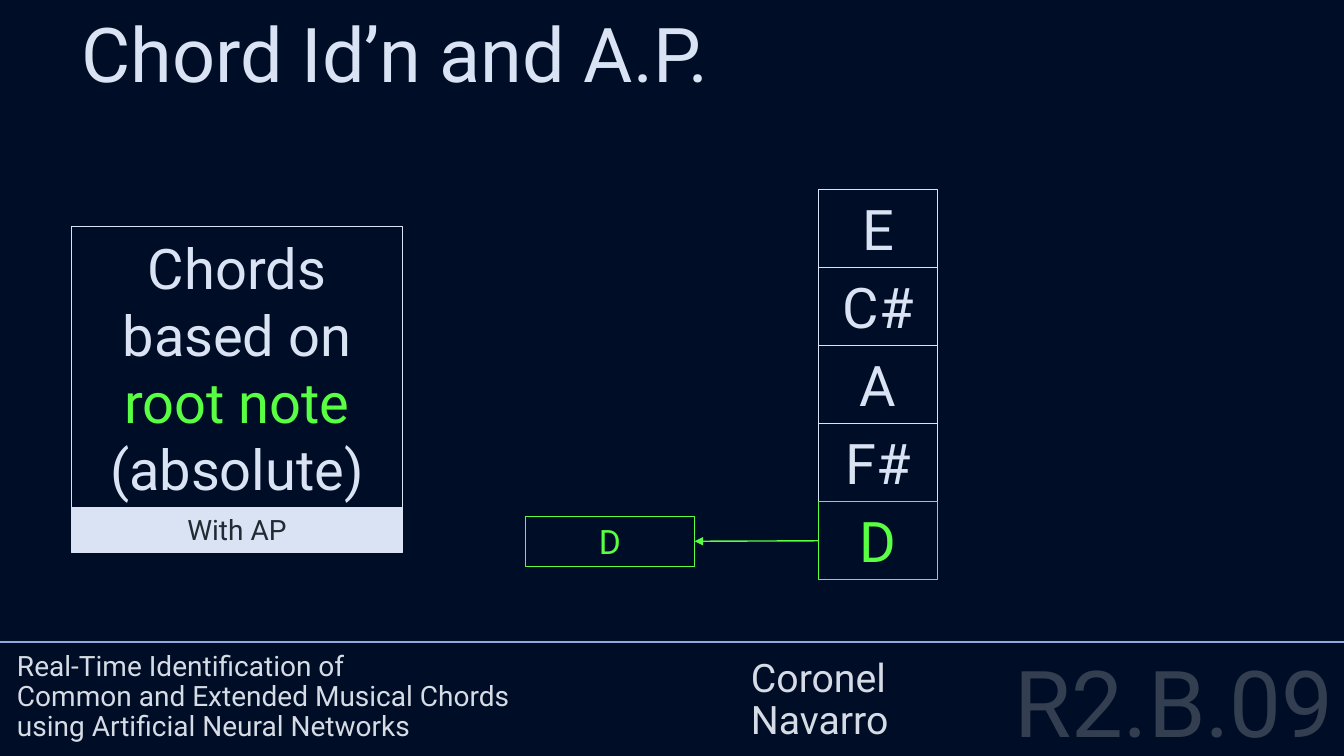
from pptx import Presentation
from pptx.dml.color import RGBColor
from pptx.enum import shapes, text
from pptx.oxml import parse_xml
from pptx.oxml.ns import nsdecls
from pptx.util import Inches, Pt

FONT = "Roboto"
NAVY, PALE, GREY = "000D26", "DAE3F3", "D6DCE5"
GREEN, BLUE, SLATE, INK = "59FF43", "8FAADC", "333F50", "222A35"

LEFT, CENTER, RIGHT = text.PP_ALIGN.LEFT, text.PP_ALIGN.CENTER, text.PP_ALIGN.RIGHT
TOP, MIDDLE, BOTTOM = text.MSO_ANCHOR.TOP, text.MSO_ANCHOR.MIDDLE, text.MSO_ANCHOR.BOTTOM

NOTES = ["E", "C#", "A", "F#", "D"]
NOTE_LEFT, NOTE_TOP, NOTE_W, NOTE_H, NOTE_PITCH = 8.12, 1.88, 1.18, 0.77, 0.775


def rgb(color):
    return RGBColor.from_string(color)


def set_attrs(obj, values):
    for name, value in values.items():
        setattr(obj, name, value)


def place(sp, box):
    set_attrs(sp, dict(zip(("left", "top", "width", "height"), map(Inches, box))))


def fill_text(sp, paragraphs, size, color, align=LEFT, anchor=TOP, **spacing):
    """Write paragraphs, each a string or a list of (string, colour) runs."""
    tf = sp.text_frame
    set_attrs(tf, {"word_wrap": True, "auto_size": text.MSO_AUTO_SIZE.NONE,
                   "vertical_anchor": anchor})
    for i, runs in enumerate(paragraphs):
        p = tf.add_paragraph() if i else tf.paragraphs[0]
        set_attrs(p, {"alignment": align, **spacing})
        for words, run_color in [(runs, color)] if isinstance(runs, str) else runs:
            for j, line in enumerate(words.split("\n")):
                if j:
                    p.add_line_break()
                r = p.add_run()
                r.text = line
                set_attrs(r.font, {"name": FONT, "size": Pt(size)})
                r.font.color.rgb = rgb(run_color)


def add_text(s, box, paragraphs, size, color, **layout):
    sp = s.shapes.add_textbox(*map(Inches, box))
    fill_text(sp, paragraphs, size, color, **layout)


def add_box(s, box, paragraphs, size, color, line=PALE, fill=None, anchor=TOP):
    sp = s.shapes.add_shape(shapes.MSO_SHAPE.RECTANGLE, *map(Inches, box))
    sp.shadow.inherit = False
    if fill:
        sp.fill.solid()
        sp.fill.fore_color.rgb = rgb(fill)
    else:
        sp.fill.background()
    sp.line.color.rgb = rgb(line)
    sp.line.width = Pt(0.75)
    fill_text(sp, paragraphs, size, color, align=CENTER, anchor=anchor)
    return sp


def add_line(s, start, end, color, width):
    line = s.shapes.add_connector(shapes.MSO_CONNECTOR.STRAIGHT,
                                  *map(Inches, (*start, *end)))
    line.line.color.rgb = rgb(color)
    line.line.width = Pt(width)
    line._element.spPr.append(parse_xml(f"<a:effectLst {nsdecls('a')}/>"))
    return line


def add_arrow(s, source, target, color, width):
    """Point from the left side of source to the right side of target."""
    arrow = add_line(s, (0, 0), (0, 0), color, width)
    arrow.begin_connect(source, 1)
    arrow.end_connect(target, 3)
    arrow.line._get_or_add_ln().append(
        parse_xml(f'<a:tailEnd {nsdecls("a")} type="triangle"/>'))


def add_footer(s):
    add_text(s, (8.46, 6.56, 4.87, 1.04), ["R2.B.09"], 66, SLATE,
             align=RIGHT, line_spacing=0.8, space_before=Pt(10))
    add_line(s, (0, 6.37), (13.33, 6.37), BLUE, 1.5)
    add_text(s, (7.35, 4.43, 5.1, 2.99), ["Coronel", "Navarro"], 28, GREY,
             anchor=BOTTOM, line_spacing=0.9)
    project = ("Real-Time Identification of\n"
               "Common and Extended Musical Chords\n"
               "using Artificial Neural Networks")
    add_text(s, (0.07, 4.43, 7.28, 2.99), [project], 20, GREY,
             anchor=BOTTOM, line_spacing=0.9)


def add_chord_notes(s):
    """Stack the notes, the root at the bottom in green; return the root."""
    for i, note in enumerate(NOTES):
        color = GREEN if i == len(NOTES) - 1 else PALE
        box = (NOTE_LEFT, NOTE_TOP + i * NOTE_PITCH, NOTE_W, NOTE_H)
        sp = add_box(s, box, [note], 40, color, line=color)
    return sp


def main():
    prs = Presentation()
    set_attrs(prs, {"slide_width": Inches(13.33), "slide_height": Inches(7.5)})
    s = prs.slides.add_slide(prs.slide_layouts[5])
    s.background.fill.solid()
    s.background.fill.fore_color.rgb = rgb(NAVY)

    title = s.shapes.title
    place(title, (0.71, 0.02, 7.86, 1.01))
    fill_text(title, ["Chord Id’n and A.P."], 54, PALE)

    add_footer(s)
    add_box(s, (0.71, 2.25, 3.28, 2.79),
            ["Chords based on", [("root note", GREEN), (" (absolute)", PALE)]],
            40, PALE, anchor=MIDDLE)
    add_box(s, (0.71, 5.04, 3.28, 0.44), ["With AP"], 20, INK, fill=PALE)

    root = add_chord_notes(s)
    label = add_box(s, (5.21, 5.12, 1.68, 0.5), ["D"], 24, GREEN, line=GREEN)
    add_arrow(s, root, label, GREEN, 1)
    prs.save("out.pptx")


if __name__ == "__main__":
    main()
